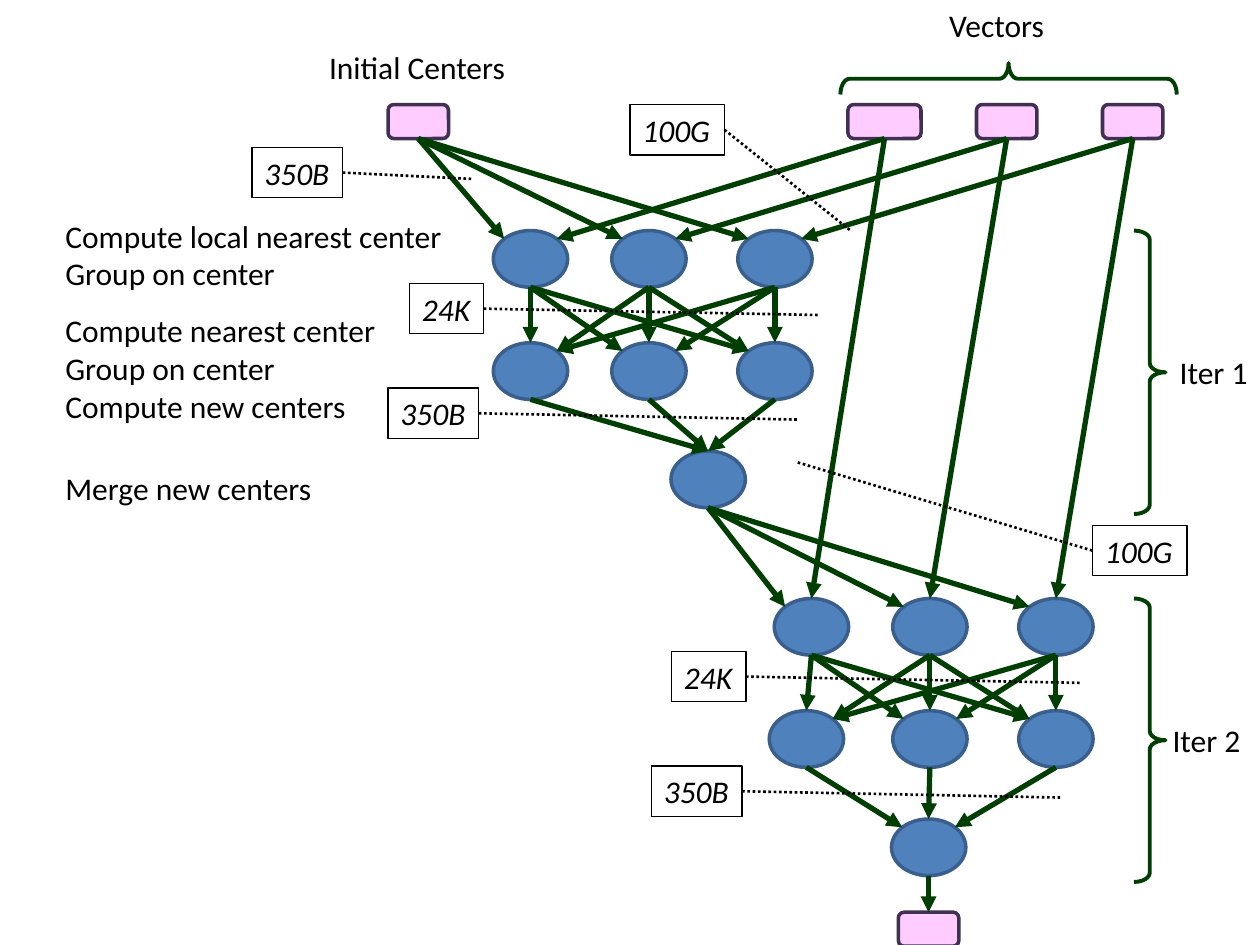
from dataclasses import dataclass

from lxml import etree
from pptx import Presentation
from pptx.dml.color import RGBColor
from pptx.enum.dml import MSO_LINE
from pptx.enum.shapes import MSO_CONNECTOR, MSO_SHAPE
from pptx.enum.text import MSO_ANCHOR, MSO_AUTO_SIZE, PP_ALIGN
from pptx.oxml.ns import qn
from pptx.util import Inches, Pt

BLACK = RGBColor(0x00, 0x00, 0x00)
WHITE = RGBColor(0xFF, 0xFF, 0xFF)
BLUE = RGBColor(0x4F, 0x81, 0xBD)
BLUE_EDGE = RGBColor(0x3A, 0x5F, 0x8C)
PINK = RGBColor(0xFF, 0xCC, 0xFF)
PURPLE = RGBColor(0x40, 0x31, 0x52)
GREEN = RGBColor(0x00, 0x3E, 0x03)

LEFT, CENTER, RIGHT = PP_ALIGN.LEFT, PP_ALIGN.CENTER, PP_ALIGN.RIGHT
TOP, GROW = MSO_ANCHOR.TOP, MSO_AUTO_SIZE.SHAPE_TO_FIT_TEXT
OVAL, ROUNDED = MSO_SHAPE.OVAL, MSO_SHAPE.ROUNDED_RECTANGLE
RECTANGLE, BRACE = MSO_SHAPE.RECTANGLE, MSO_SHAPE.RIGHT_BRACE
STRAIGHT = MSO_CONNECTOR.STRAIGHT
DOTTED = MSO_LINE.ROUND_DOT

STAGE_WIDTH, STAGE_HEIGHT = 0.59, 0.45
DATA_HEIGHT = 0.27
LABEL_HEIGHT = 0.4
DIAGONAL = 0.5 ** 0.5


@dataclass
class Node:
    x: float
    top: float
    width: float
    height: float

    def bottom_point(self):
        return self.x, self.top + self.height

    def entry_point(self, from_x):
        """Top of the node, or the diagonal point facing from_x."""
        if abs(from_x - self.x) < 0.1:
            return self.x, self.top
        side = 1 if from_x > self.x else -1
        return (self.x + side * DIAGONAL * self.width / 2,
                self.top + (1 - DIAGONAL) * self.height / 2)


class Diagram:
    def __init__(self, slide):
        self.shapes = slide.shapes
        self.font = "Calibri"
        self.size = Pt(18)

    def shape(self, kind, left, top, width, height, fill, edge, weight):
        shape = self.shapes.add_shape(
            kind, Inches(left), Inches(top), Inches(width), Inches(height))
        shape.shadow.inherit = False
        if fill is None:
            shape.fill.background()
        else:
            shape.fill.solid()
            shape.fill.fore_color.rgb = fill
        shape.line.color.rgb = edge
        shape.line.width = Pt(weight)
        return shape

    def set_text(self, box, lines, align=LEFT, italic=False):
        frame = box.text_frame
        frame.word_wrap = False
        frame.auto_size = GROW
        frame.vertical_anchor = TOP
        for index, line in enumerate(lines):
            para = frame.add_paragraph() if index else frame.paragraphs[0]
            para.alignment = align
            span = para.add_run()
            span.text = line
            span.font.name = self.font
            span.font.size = self.size
            span.font.italic = italic
            span.font.color.rgb = BLACK

    def text(self, left, top, width, height, lines, align=LEFT):
        box = self.shapes.add_textbox(
            Inches(left), Inches(top), Inches(width), Inches(height))
        self.set_text(box, lines, align)

    def stage(self, x, top):
        node = Node(x, top, STAGE_WIDTH, STAGE_HEIGHT)
        self.shape(OVAL, x - node.width / 2, top, node.width, node.height,
                   BLUE, BLUE_EDGE, 2)
        return node

    def data(self, x, top, width=0.48):
        node = Node(x, top, width, DATA_HEIGHT)
        self.shape(ROUNDED, x - width / 2, top, width, DATA_HEIGHT,
                   PINK, PURPLE, 2)
        return node

    def brace(self, left, top, height, rotation=0):
        brace = self.shape(BRACE, left, top, 0.25, height, None, GREEN, 2.25)
        brace.adjustments[0] = 0.292
        brace.rotation = rotation

    def line(self, start, end, color, weight):
        line = self.shapes.add_connector(
            STRAIGHT, *[Inches(length) for length in (*start, *end)])
        line.line.color.rgb = color
        line.line.width = Pt(weight)
        etree.SubElement(line.element.spPr, qn("a:effectLst"))
        return line

    def arrow(self, start, end):
        line = self.line(start, end, GREEN, 3)
        outline = line.element.spPr.find(qn("a:ln"))
        etree.SubElement(outline, qn("a:tailEnd"), type="triangle")

    def flow(self, sources, targets, to_top=False):
        """Join every source to every target."""
        for source in sources:
            for target in targets:
                from_x = target.x if to_top else source.x
                self.arrow(source.bottom_point(), target.entry_point(from_x))

    def size_label(self, left, top, width, words, end):
        """Boxed data size with a dotted leader to end."""
        box = self.shape(RECTANGLE, left, top, width, LABEL_HEIGHT,
                         WHITE, BLACK, 0.75)
        self.set_text(box, [words], italic=True)
        start_x = left if end[0] < left else left + width
        leader = self.line((start_x, top + LABEL_HEIGHT / 2), end, BLACK, 1.5)
        leader.line.dash_style = DOTTED


def main():
    deck = Presentation()
    deck.slide_width, deck.slide_height = Inches(10), Inches(7.5)
    diagram = Diagram(deck.slides.add_slide(deck.slide_layouts[6]))

    diagram.text(2.5, 0.33, 1.62, 0.4, ["Initial Centers"], CENTER)
    diagram.text(7.43, 0, 0.96, 0.4, ["Vectors"], CENTER)
    diagram.text(0.42, 1.67, 3.22, 0.71,
                 ["Compute local nearest center", "Group on center"])
    diagram.text(0.42, 2.42, 2.69, 1.01,
                 ["Compute nearest center", "Group on center",
                  "Compute new centers"])
    diagram.text(0.42, 3.67, 2.18, 0.4, ["Merge new centers"])

    centers = diagram.data(3.32, 0.83)
    vectors = [diagram.data(x, 0.83, width)
               for x, width in ((7.02, 0.58), (7.99, 0.48), (8.99, 0.48))]
    result = diagram.data(7.37, 7.24)

    local_1, nearest_1, local_2, nearest_2 = [
        [diagram.stage(x, top) for x in columns]
        for top, columns in ((1.83, (4.21, 5.15, 6.15)),
                             (2.72, (4.21, 5.15, 6.15)),
                             (4.75, (6.44, 7.38, 8.38)),
                             (5.64, (6.4, 7.38, 8.38)))]
    merge_1 = diagram.stage(5.62, 3.58)
    merge_2 = diagram.stage(7.37, 6.5)

    diagram.flow([centers], local_1)
    for vector, first, second in zip(vectors, local_1, local_2):
        diagram.flow([vector], [first])
        diagram.flow([vector], [second], to_top=True)
    diagram.flow(local_1, nearest_1)
    diagram.flow(nearest_1, [merge_1], to_top=True)
    diagram.flow([merge_1], local_2)
    diagram.flow(local_2, nearest_2)
    diagram.flow(nearest_2, [merge_2])
    diagram.flow([merge_2], [result])

    diagram.brace(7.88, -0.71, 2.67, rotation=270)
    diagram.brace(9, 1.83, 2.25)
    diagram.brace(9, 4.75, 2.25)
    diagram.text(9.25, 2.75, 0.75, 0.4, ["Iter 1"], RIGHT)
    diagram.text(9.2, 5.67, 0.8, 0.4, ["Iter 2 "], RIGHT)

    for label in ((2, 1.17, 0.72, "350B", (3.74, 1.42)),
                  (5, 0.83, 0.75, "100G", (6.75, 1.83)),
                  (3.25, 2.25, 0.59, "24K", (6.5, 2.5)),
                  (3.08, 3.08, 0.72, "350B", (6.33, 3.33)),
                  (8.67, 4.17, 0.75, "100G", (6.33, 3.67)),
                  (5.33, 5.17, 0.59, "24K", (8.58, 5.42)),
                  (5.17, 6.08, 0.72, "350B", (8.42, 6.33))):
        diagram.size_label(*label)

    deck.save("out.pptx")


if __name__ == "__main__":
    main()
